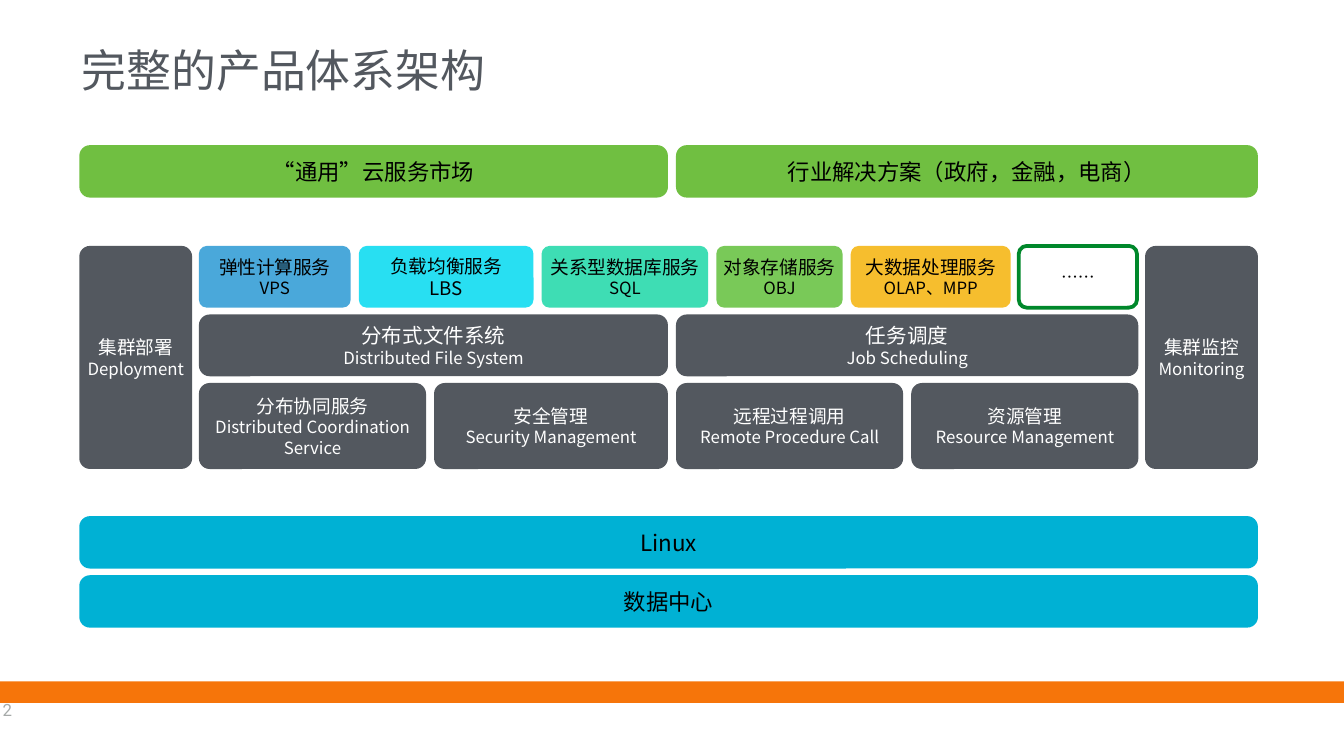
from dataclasses import dataclass

from lxml import etree
from pptx import Presentation
from pptx.dml.color import RGBColor
from pptx.enum.shapes import MSO_SHAPE
from pptx.enum.text import MSO_ANCHOR, PP_ALIGN
from pptx.oxml.ns import qn
from pptx.util import Inches, Pt

RECTANGLE = MSO_SHAPE.RECTANGLE
ROUNDED = MSO_SHAPE.ROUNDED_RECTANGLE
MIDDLE = MSO_ANCHOR.MIDDLE
TOP = MSO_ANCHOR.TOP
LEFT = PP_ALIGN.LEFT
CENTER = PP_ALIGN.CENTER
TITLE_ONLY = 5
LINE_BREAK = "\v"


@dataclass(frozen=True)
class Theme:
    font: str = "Noto Sans CJK SC"
    number_font: str = "Roboto"
    dark: str = "53585F"
    black: str = "000000"
    white: str = "FFFFFF"
    muted: str = "A6AAA9"
    orange: str = "F6750A"
    green: str = "70BF41"
    cyan: str = "00B1D4"
    outline: str = "00882B"
    compute: str = "4AA8DA"
    balancing: str = "28DFF2"
    database: str = "3EDDB4"
    storage: str = "79C958"
    big_data: str = "F6BE2E"
    title_size: int = 24
    band_size: int = 12
    core_size: int = 11
    label_size: int = 10
    small_size: int = 9


THEME = Theme()
MARGIN = 0.59
INNER_LEFT = 1.48
FULL_WIDTH = 8.77
GAP = 0.06
BAND_HEIGHT = 0.39
TILE_HEIGHT = 0.46
STACK_TOP = 1.83
RADIUS = 0.08
SERVICE_RADIUS = 0.06

SERVICES = [
    (1.13, THEME.compute, [("弹性计算服务\vVPS", THEME.label_size)]),
    (1.3, THEME.balancing, [("负载均衡服务", THEME.label_size), ("LBS", THEME.label_size)]),
    (1.24, THEME.database, [("关系型数据库服务\vSQL", THEME.label_size)]),
    (0.94, THEME.storage, [("对象存储服务\vOBJ", THEME.label_size)]),
    (1.19, THEME.big_data, [("大数据处理服务\vOLAP、MPP", THEME.label_size)]),
    (0.88, THEME.white, [("……", THEME.small_size)]),
]
CORE = [
    (3.49, "分布式文件系统", "Distributed File System"),
    (3.44, "任务调度", "Job Scheduling"),
]
FOUNDATION = [
    (1.69, "分布协同服务", "Distributed Coordination Service"),
    (1.74, "安全管理", "Security Management"),
    (1.69, "远程过程调用", "Remote Procedure Call"),
    (1.69, "资源管理", "Resource Management"),
]


def write_text(shape, lines, color, align=CENTER, font_name=THEME.font, anchor=MIDDLE, wrap=True):
    frame = shape.text_frame
    frame.margin_left = frame.margin_right = frame.margin_top = frame.margin_bottom = 0
    frame.vertical_anchor = anchor
    frame.word_wrap = wrap
    for index, (text, size) in enumerate(lines):
        paragraph = frame.add_paragraph() if index else frame.paragraphs[0]
        paragraph.text = text
        paragraph.alignment = align
        font = paragraph.font
        font.size = Pt(size)
        font.color.rgb = RGBColor.from_string(color)
        font.name = font_name
        properties = paragraph._p.pPr.find(qn("a:defRPr"))
        etree.SubElement(properties, qn("a:ea"), typeface=font_name)
        if LINE_BREAK in text:
            paragraph.runs[-1].font.size = Pt(THEME.small_size)


def add_block(slide, kind, left, top, width, height, fill):
    shape = slide.shapes.add_shape(kind, Inches(left), Inches(top), Inches(width), Inches(height))
    shape.shadow.inherit = False
    shape.fill.solid()
    shape.fill.fore_color.rgb = RGBColor.from_string(fill)
    shape.line.fill.background()
    return shape


def add_tile(slide, left, top, width, height, fill, lines, color, radius):
    tile = add_block(slide, ROUNDED, left, top, width, height, fill)
    tile.adjustments[0] = radius / min(width, height)
    write_text(tile, lines, color)
    return tile


def add_row(slide, left, top, height, cells, color, radius=RADIUS):
    tiles = []
    for width, fill, lines in cells:
        tiles.append(add_tile(slide, left, top, width, height, fill, lines, color, radius))
        left += width + GAP
    return tiles


def bilingual_cells(items, size):
    return [
        (width, THEME.dark, [(chinese, size), (english, THEME.small_size)])
        for width, chinese, english in items
    ]


def add_title(slide, text):
    title = slide.shapes.title
    title.left, title.top = Inches(0.61), Inches(0.26)
    title.width, title.height = Inches(8.88), Inches(0.52)
    write_text(title, [(text, THEME.title_size)], THEME.dark, LEFT)


def add_footer(slide, number):
    add_block(slide, RECTANGLE, 0, 5.07, 10, 0.16, THEME.orange)
    box = slide.shapes.add_textbox(Inches(0.02), Inches(5.21), Inches(2.33), Inches(0.3))
    write_text(box, [(number, THEME.small_size)], THEME.muted, LEFT, THEME.number_font, TOP, False)


def add_bands(slide):
    size = THEME.band_size
    solutions = [
        (4.38, THEME.green, [("“通用”云服务市场", size)]),
        (4.33, THEME.green, [("行业解决方案（政府，金融，电商）", size)]),
    ]
    add_row(slide, MARGIN, 1.08, BAND_HEIGHT, solutions, THEME.black)
    for top, text in [(3.84, "Linux"), (4.28, "数据中心")]:
        add_row(slide, MARGIN, top, BAND_HEIGHT, [(FULL_WIDTH, THEME.cyan, [(text, size)])], THEME.black)


def add_platform(slide):
    sides = [(MARGIN, "集群部署", "Deployment"), (8.52, "集群监控", "Monitoring")]
    for left, chinese, english in sides:
        cells = bilingual_cells([(0.84, chinese, english)], THEME.label_size)
        add_row(slide, left, STACK_TOP, 1.66, cells, THEME.white)

    services = add_row(
        slide, INNER_LEFT, STACK_TOP, TILE_HEIGHT, SERVICES, THEME.black, SERVICE_RADIUS
    )
    more_services = services[-1]
    more_services.line.color.rgb = RGBColor.from_string(THEME.outline)
    more_services.line.width = Pt(2)

    core = bilingual_cells(CORE, THEME.core_size)
    add_row(slide, INNER_LEFT, 2.34, TILE_HEIGHT, core, THEME.white)
    foundation = bilingual_cells(FOUNDATION, THEME.label_size)
    add_row(slide, INNER_LEFT, 2.85, 0.64, foundation, THEME.white)


def main():
    presentation = Presentation()
    presentation.slide_width = Inches(10)
    presentation.slide_height = Inches(10 * 9 / 16)
    slide = presentation.slides.add_slide(presentation.slide_layouts[TITLE_ONLY])
    add_footer(slide, "2")
    add_title(slide, "完整的产品体系架构")
    add_bands(slide)
    add_platform(slide)
    presentation.save("out.pptx")


if __name__ == "__main__":
    main()
